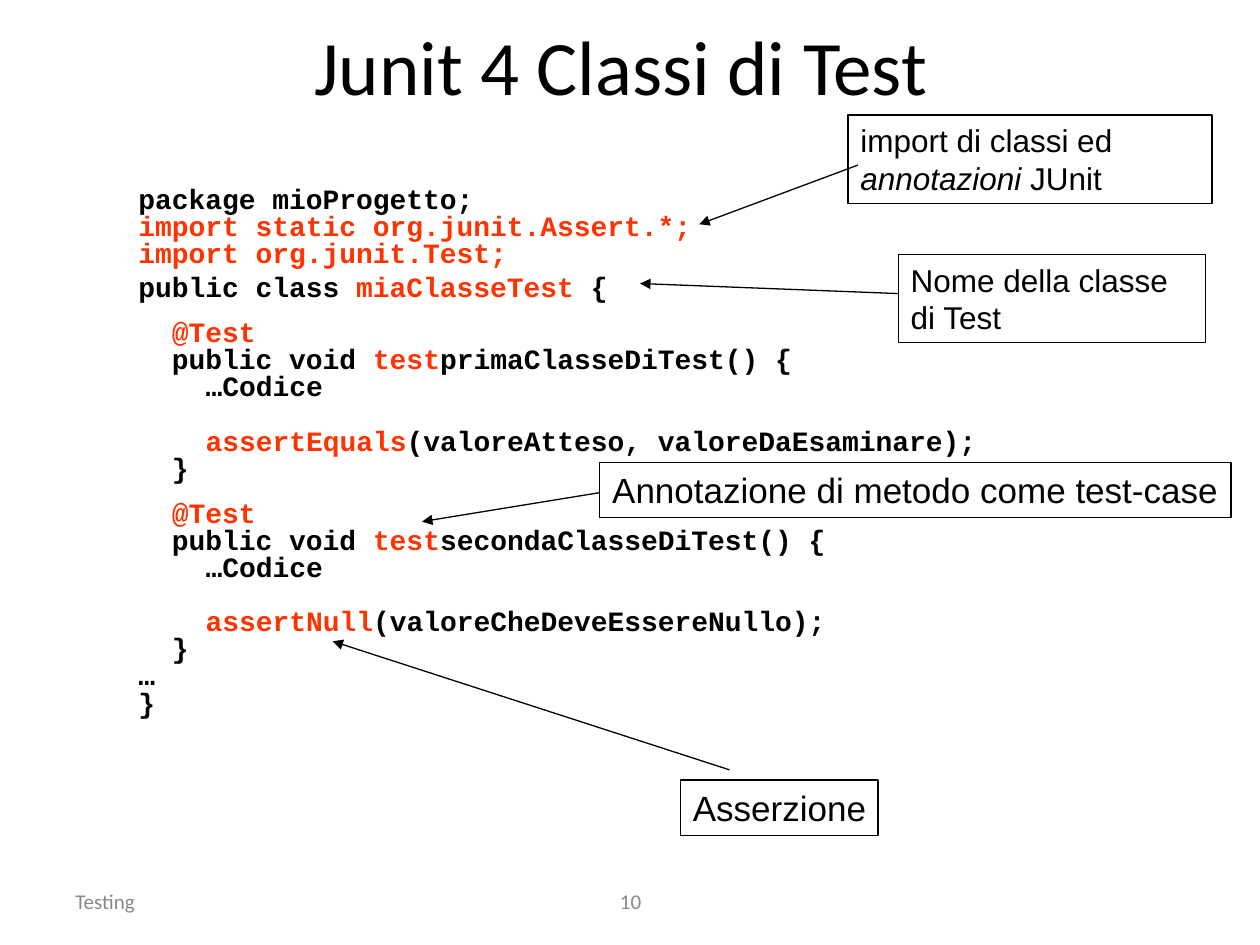
"""Build the slide on JUnit 4 test classes, with annotated code."""
from lxml.etree import SubElement
from pptx import Presentation
from pptx.dml.color import RGBColor
from pptx.enum.shapes import MSO_CONNECTOR, MSO_SHAPE
from pptx.enum.text import MSO_ANCHOR, MSO_AUTO_SIZE, PP_ALIGN
from pptx.oxml.ns import qn
from pptx.util import Pt

BLACK = RGBColor(0, 0, 0)
WHITE = RGBColor(255, 255, 255)
GREY = RGBColor(0x89, 0x89, 0x89)
RED = RGBColor(0xFF, 0x33, 0x00)


def write(para, text, font="Arial", size=18, color=BLACK, bold=False, italic=False):
    span = para.add_run()
    span.text = text
    span.font.name = font
    span.font.size = Pt(size)
    span.font.color.rgb = color
    span.font.bold = bold
    span.font.italic = italic


deck = Presentation()
deck.slide_width, deck.slide_height = Pt(720), Pt(540)
page = deck.slides.add_slide(deck.slide_layouts[6])

labels = [
    ("Testing", (36, 500.4, 168, 28.8), 12, GREY, PP_ALIGN.LEFT, MSO_ANCHOR.MIDDLE, 3.6),
    ("10", (246.24, 500.4, 228.24, 28.8), 12, GREY, PP_ALIGN.CENTER, MSO_ANCHOR.MIDDLE, 3.6),
    ("Junit 4 Classi di Test ", (36, 9.36, 648, 61.2), 44, BLACK, PP_ALIGN.CENTER, MSO_ANCHOR.BOTTOM, 7.2),
]
for text, place, size, color, align, anchor, margin in labels:
    box = page.shapes.add_textbox(*map(Pt, place))
    frame = box.text_frame
    frame.word_wrap = True
    frame.vertical_anchor = anchor
    frame.margin_bottom = Pt(margin)
    para = frame.paragraphs[0]
    para.alignment = align
    write(para, text, font="Calibri", size=size, color=color)

INDENT = 19.2
LINE, SMALL, MEDIUM, LARGE = 4, 8, 14.3, 19.4
code = [
    (0, LINE, [("package mioProgetto;", BLACK)]),
    (0, LINE, [("import static org.junit.Assert.*;", RED)]),
    (0, LINE, [("import org.junit.Test;", RED)]),
    (0, SMALL, [("public class ", BLACK), ("miaClasseTest", RED), (" {", BLACK)]),
]
tests = [
    ("primaClasseDiTest", "assertEquals", "valoreAtteso, valoreDaEsaminare"),
    ("secondaClasseDiTest", "assertNull", "valoreCheDeveEssereNullo"),
]
for method, assertion, arguments in tests:
    code += [
        (1, MEDIUM, [("@Test", RED)]),
        (1, LINE, [("public void ", BLACK), ("test", RED), (f"{method}() {{", BLACK)]),
        (2, LINE, [("…Codice", BLACK)]),
        (2, LARGE, [(assertion, RED), (f"({arguments});", BLACK)]),
        (1, LINE, [("}", BLACK)]),
    ]
code += [(0, LINE, [("…", BLACK)]), (0, LINE, [("}", BLACK)])]

listing = page.shapes.add_textbox(Pt(72), Pt(106.8), Pt(612), Pt(376.56))
frame = listing.text_frame
frame.word_wrap = True
for number, (level, gap, pieces) in enumerate(code):
    para = frame.add_paragraph() if number else frame.paragraphs[0]
    para.line_spacing = 0.6
    para.space_before = Pt(gap)
    para._p.get_or_add_pPr().set("marL", str(Pt(level * INDENT)))
    for text, color in pieces:
        write(para, text, font="Courier New", size=16, color=color, bold=True)

arrows = [
    (490.32, 94.32, 399.6, 128.16),
    (342.72, 281.52, 241.2, 298.08),
    (416.88, 439.92, 190.08, 366.48),
    (513.36, 167.76, 365.76, 162),
]
for ends in arrows:
    arrow = page.shapes.add_connector(MSO_CONNECTOR.STRAIGHT, *map(Pt, ends))
    arrow.line.color.rgb = BLACK
    arrow.line.width = Pt(0.75)
    SubElement(arrow.line._get_or_add_ln(), qn("a:tailEnd"), type="triangle")
    SubElement(arrow._element.spPr, qn("a:effectLst"))

callouts = [
    ((484.56, 65.8, 208.08, 50.4), 18, 7.2, False,
     [[("import di classi ed", False)], [("annotazioni", True), (" JUnit", False)]]),
    ((342.72, 264.24, 360.72, 31.68), 20, 0, False,
     [[("Annotazione di metodo come test-case", False)]]),
    ((388.8, 445.68, 113.04, 31.68), 20, 0, False, [[("Asserzione", False)]]),
    ((513.36, 145.44, 175.68, 50.4), 18, 7.2, True, [[("Nome della classe di Test", False)]]),
]
for place, size, margin, filled, lines in callouts:
    callout = page.shapes.add_shape(MSO_SHAPE.RECTANGLE, *map(Pt, place))
    callout.shadow.inherit = False
    if filled:
        callout.fill.solid()
        callout.fill.fore_color.rgb = WHITE
    else:
        callout.fill.background()
    callout.line.color.rgb = BLACK
    callout.line.width = Pt(0.75)
    frame = callout.text_frame
    frame.word_wrap = True
    frame.auto_size = MSO_AUTO_SIZE.NONE
    frame.vertical_anchor = MSO_ANCHOR.TOP
    frame.margin_right = Pt(margin)
    for number, pieces in enumerate(lines):
        para = frame.add_paragraph() if number else frame.paragraphs[0]
        para.alignment = PP_ALIGN.LEFT
        for text, italic in pieces:
            write(para, text, size=size, italic=italic)

deck.save("out.pptx")
